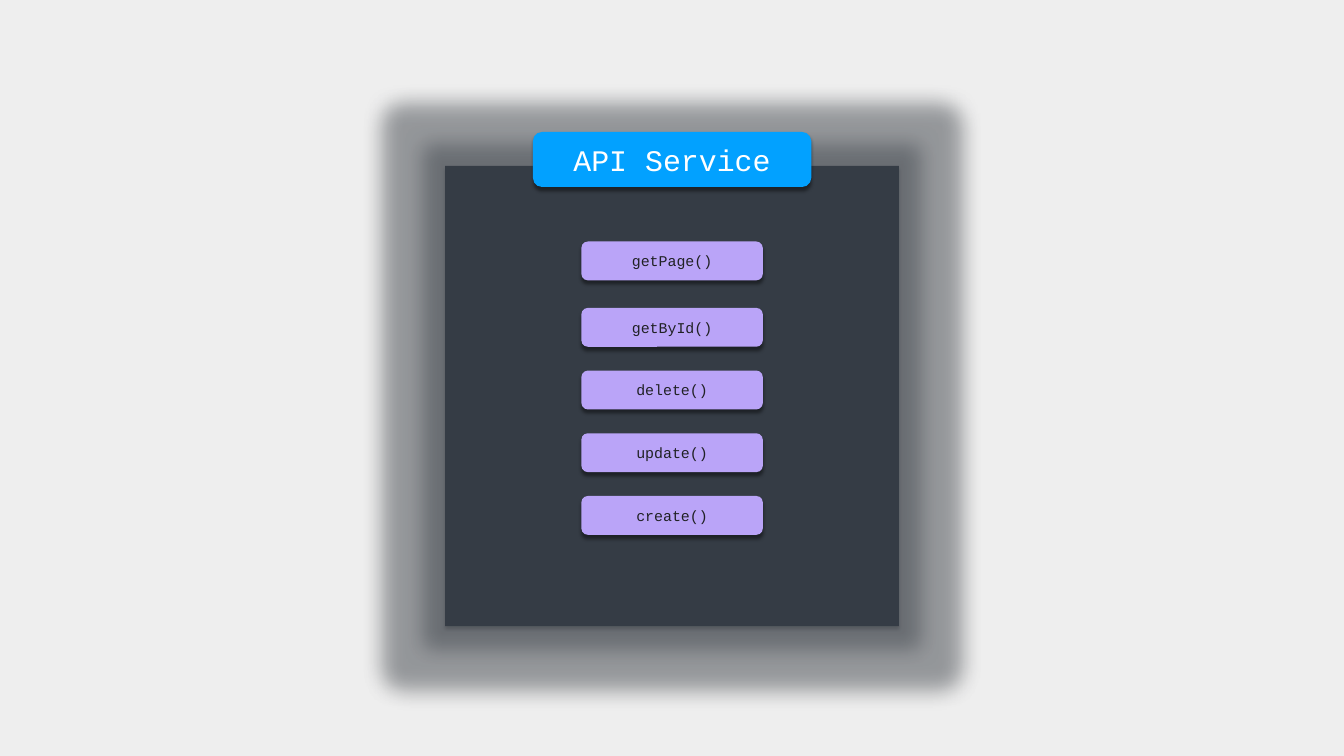
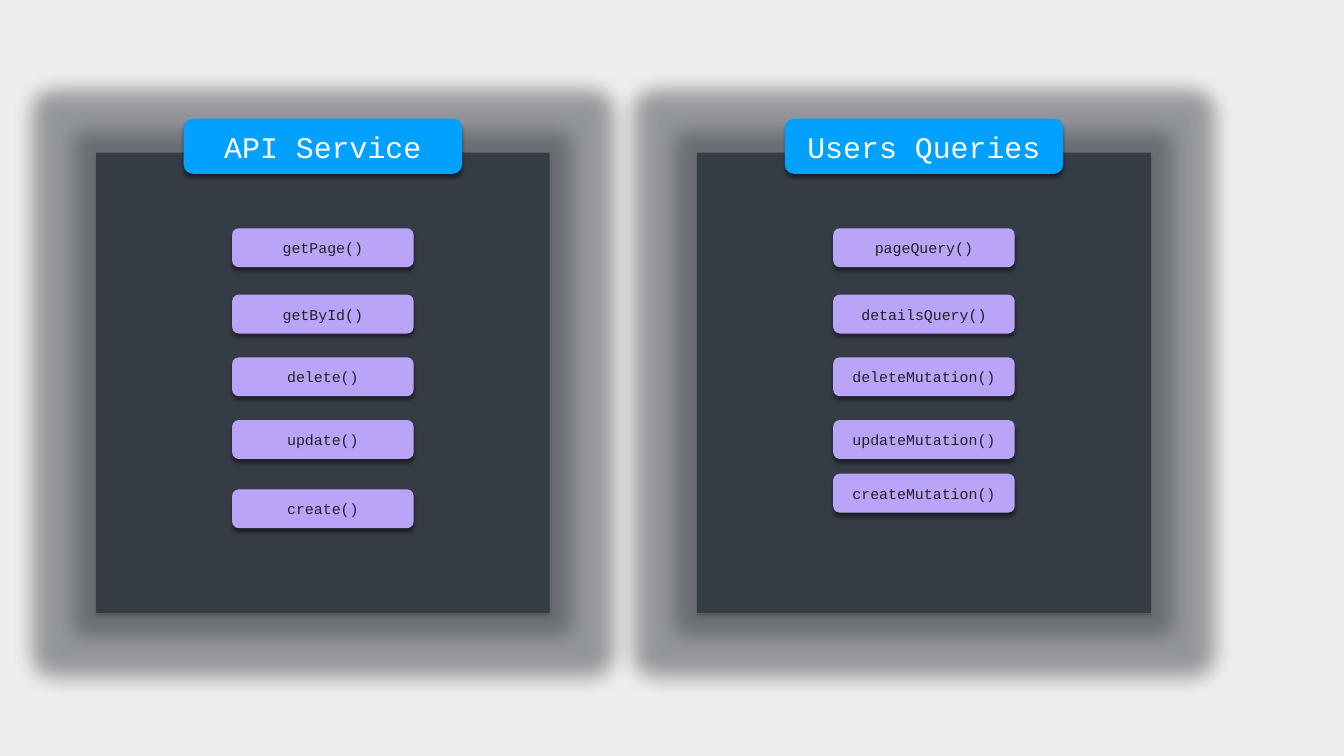
"""Build two slides of service panels with their method buttons."""
from dataclasses import dataclass

from lxml import etree
from pptx import Presentation
from pptx import util as u
from pptx.dml.color import RGBColor
from pptx.enum import shapes, text
from pptx.oxml import ns

COLORS = {
    "page": "EEEEEE",
    "panel": "353C45",
    "header": "02A1FF",
    "button": "BAA4F8",
    "light": "FFFFFF",
    "dark": "202124",
    "shadow": "000000",
}
FONT = "Courier New"
PANEL_W, PANEL_H = 17.15, 17.4
HEADER_W, HEADER_H, HEADER_RISE = 10.52, 2.08, 1.28
BUTTON_W, BUTTON_H = 6.86, 1.47
FIRST_TOP, SECOND_TOP, STEP = 2.86, 5.37, 2.37


@dataclass
class Panel:
    left: float
    top: float
    title: str
    methods: list[str]
    last_top: float = SECOND_TOP + 3 * STEP


API_METHODS = ["getPage()", "getById()", "delete()", "update()", "create()"]
QUERIES = ["pageQuery()", "detailsQuery()", "deleteMutation()",
           "updateMutation()", "createMutation()"]
SLIDES = [
    [Panel(16.83, 6.27, "API Service", API_METHODS)],
    [
        Panel(3.63, 5.77, "API Service", API_METHODS, last_top=12.73),
        Panel(26.35, 5.77, "Users Queries", QUERIES, last_top=12.14),
    ],
]


def rgb(name: str) -> RGBColor:
    """Return a palette colour."""
    return RGBColor.from_string(COLORS[name])


def add_effect(sp, tag: str, color: str, alpha: int, **attrs) -> None:
    """Append a coloured effect such as a glow or shadow to a shape."""
    effects = sp._element.spPr.find(ns.qn("a:effectLst"))
    effect = etree.SubElement(effects, ns.qn(f"a:{tag}"),
                              {k: str(v) for k, v in attrs.items()})
    clr = etree.SubElement(effect, ns.qn("a:srgbClr"), val=COLORS[color])
    etree.SubElement(clr, ns.qn("a:alpha"), val=str(alpha * 1000))


def add_box(s, left: float, top: float, width: float, height: float,
            fill: str, rounded: bool = True, glow: bool = False):
    """Draw a filled box with a soft shadow below it."""
    kind = shapes.MSO_SHAPE.ROUNDED_RECTANGLE if rounded else shapes.MSO_SHAPE.RECTANGLE
    sp = s.shapes.add_shape(kind, u.Cm(left), u.Cm(top), u.Cm(width), u.Cm(height))
    sp.fill.solid()
    sp.fill.fore_color.rgb = rgb(fill)
    sp.line.fill.background()
    sp.shadow.inherit = False
    if glow:
        add_effect(sp, "glow", fill, 35, rad=u.Pt(45))
    add_effect(sp, "outerShdw", "shadow", 43, blurRad=u.Pt(4), dist=u.Pt(4),
               dir=90 * 60000, algn="bl", rotWithShape=0)
    return sp


def write(sp, words: str, *, size: int, color: str) -> None:
    """Put one centred line of text in a shape."""
    tf = sp.text_frame
    tf.word_wrap = True
    tf.vertical_anchor = text.MSO_ANCHOR.MIDDLE
    p = tf.paragraphs[0]
    p.alignment = text.PP_ALIGN.CENTER
    r = p.add_run()
    r.text = words
    r.font.name = FONT
    r.font.size = u.Pt(size)
    r.font.color.rgb = rgb(color)


def draw_panel(s, panel: Panel) -> None:
    """Draw a panel with its header and method buttons."""
    add_box(s, panel.left, panel.top, PANEL_W, PANEL_H, "panel",
            rounded=False, glow=True)
    center = panel.left + PANEL_W / 2
    header = add_box(s, center - HEADER_W / 2, panel.top - HEADER_RISE,
                     HEADER_W, HEADER_H, "header")
    write(header, panel.title, size=32, color="light")
    tops = [FIRST_TOP, *(SECOND_TOP + i * STEP for i in range(3)), panel.last_top]
    for method, top in zip(panel.methods, tops):
        button = add_box(s, center - BUTTON_W / 2, panel.top + top,
                         BUTTON_W, BUTTON_H, "button")
        write(button, method, size=16, color="dark")


def main() -> None:
    """Build and save the presentation."""
    prs = Presentation()
    prs.slide_width, prs.slide_height = u.Cm(50.8), u.Cm(28.58)
    for panels in SLIDES:
        s = prs.slides.add_slide(prs.slide_layouts[6])
        s.background.fill.solid()
        s.background.fill.fore_color.rgb = rgb("page")
        for panel in panels:
            draw_panel(s, panel)
    prs.save("out.pptx")


if __name__ == "__main__":
    main()
